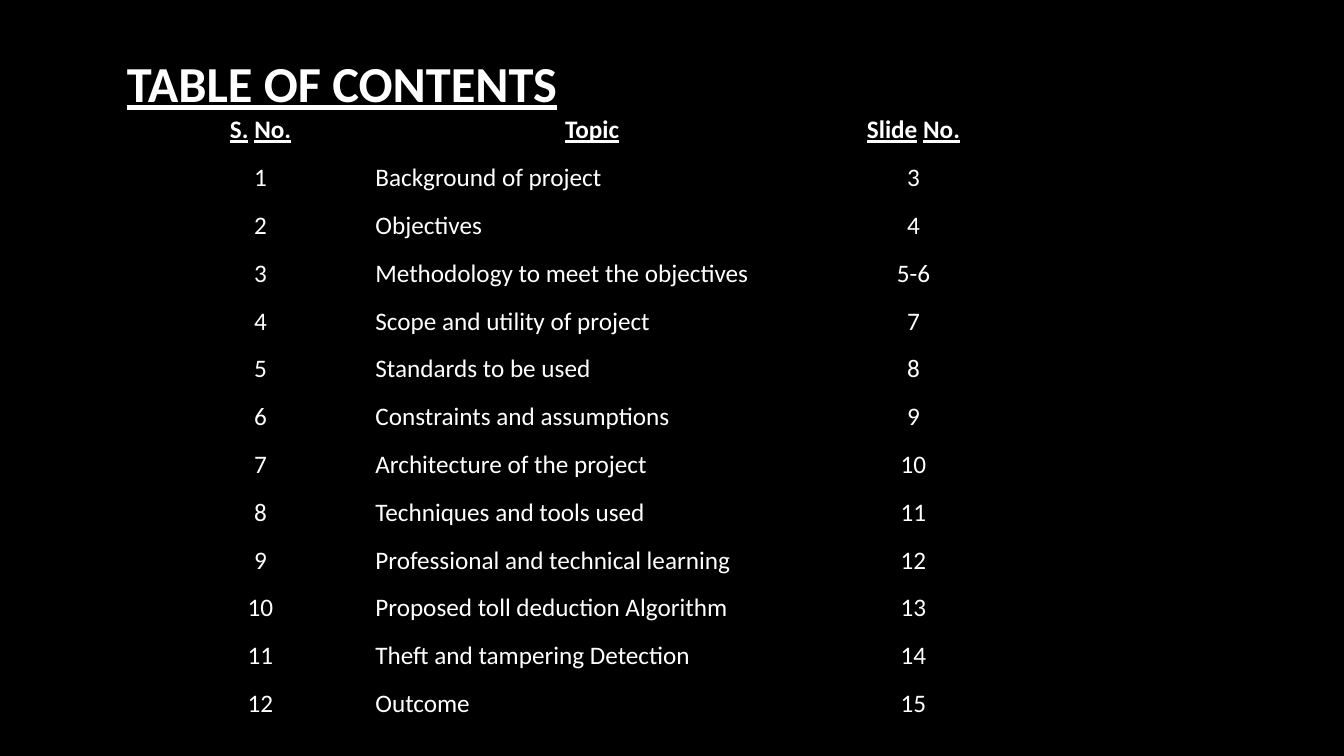
from typing import NamedTuple

from pptx import Presentation
from pptx.dml.color import RGBColor
from pptx.enum.text import MSO_ANCHOR, PP_ALIGN
from pptx.oxml.ns import qn
from pptx.util import Cm, Pt

FONT = "Calibri"
WHITE = "FFFFFF"
BLACK = "000000"
NO_STYLE_NO_GRID = "{2D5ABB26-0587-4C30-8999-92F81FD0307C}"

TABLE_HEIGHT = 15.49
LAST_ROW_HEIGHT = 1.04


class Column(NamedTuple):
    heading: str
    width: float
    align: PP_ALIGN


class Entry(NamedTuple):
    topic: str
    pages: str


COLUMNS = [
    Column("S. No.", 5.41, PP_ALIGN.CENTER),
    Column("Topic", 11.3, PP_ALIGN.JUSTIFY),
    Column("Slide No.", 4.9, PP_ALIGN.CENTER),
]

ENTRIES = [
    Entry("Background of project", "3"),
    Entry("Objectives", "4"),
    Entry("Methodology to meet the objectives", "5-6"),
    Entry("Scope and utility of project", "7"),
    Entry("Standards to be used", "8"),
    Entry("Constraints and assumptions", "9"),
    Entry("Architecture of the project", "10"),
    Entry("Techniques and tools used", "11"),
    Entry("Professional and technical learning", "12"),
    Entry("Proposed toll deduction Algorithm", "13"),
    Entry("Theft and tampering Detection", "14"),
    Entry("Outcome", "15"),
]


def color(hex_code: str) -> RGBColor:
    return RGBColor.from_string(hex_code)


def add_run(paragraph, text: str, *, size: float = 18, marked: bool = False) -> None:
    """Add a run; marked text is bold and underlined."""
    run = paragraph.add_run()
    run.text = text
    run.font.name = FONT
    run.font.size = Pt(size)
    run.font.color.rgb = color(WHITE)
    run.font.bold = marked
    run.font.underline = marked


def add_heading(paragraph, heading: str) -> None:
    """Mark each word of a heading, leaving the spaces between them plain."""
    for position, word in enumerate(heading.split()):
        if position:
            add_run(paragraph, " ")
        add_run(paragraph, word, marked=True)


def add_title(slide) -> None:
    title = slide.shapes.add_textbox(Cm(2.95), Cm(0.46), Cm(27.48), Cm(3.23))
    frame = title.text_frame
    frame.word_wrap = True
    frame.vertical_anchor = MSO_ANCHOR.MIDDLE
    add_run(frame.paragraphs[0], "TABLE OF CONTENTS", size=36, marked=True)


def add_contents(slide) -> None:
    width = sum(column.width for column in COLUMNS)
    frame = slide.shapes.add_table(
        len(ENTRIES) + 1, len(COLUMNS),
        Cm(3.86), Cm(2.77), Cm(width), Cm(TABLE_HEIGHT))
    contents = frame.table
    contents.first_row = False
    contents.horz_banding = False
    for style_id in frame.element.iter(qn("a:tableStyleId")):
        style_id.text = NO_STYLE_NO_GRID

    # Row and column sizes
    for row in contents.rows:
        row.height = Cm((TABLE_HEIGHT - LAST_ROW_HEIGHT) / len(ENTRIES))
    contents.rows[len(ENTRIES)].height = Cm(LAST_ROW_HEIGHT)
    for index, column in enumerate(COLUMNS):
        contents.columns[index].width = Cm(column.width)

    for cell in contents.iter_cells():
        cell.fill.background()
        cell.margin_left = cell.margin_right = Cm(0.19)

    # Headings
    for index, column in enumerate(COLUMNS):
        paragraph = contents.cell(0, index).text_frame.paragraphs[0]
        paragraph.alignment = PP_ALIGN.CENTER
        add_heading(paragraph, column.heading)

    # Numbered entries
    for number, entry in enumerate(ENTRIES, start=1):
        for index, text in enumerate((str(number), entry.topic, entry.pages)):
            paragraph = contents.cell(number, index).text_frame.paragraphs[0]
            paragraph.alignment = COLUMNS[index].align
            add_run(paragraph, text)


def main() -> None:
    presentation = Presentation()
    presentation.slide_width = Cm(33.87)
    presentation.slide_height = Cm(19.05)
    slide = presentation.slides.add_slide(presentation.slide_layouts[6])
    slide.background.fill.solid()
    slide.background.fill.fore_color.rgb = color(BLACK)
    add_title(slide)
    add_contents(slide)
    presentation.save("out.pptx")


if __name__ == "__main__":
    main()
